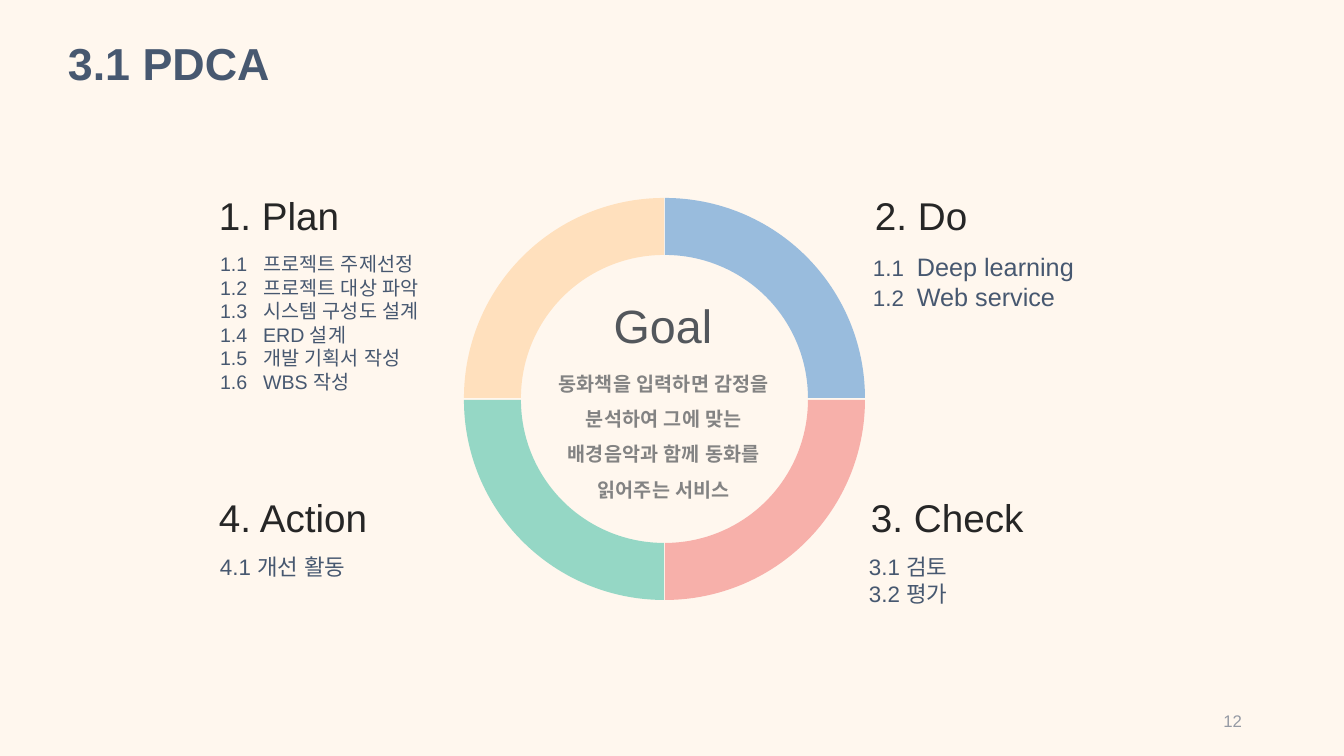
from math import cos, radians, sin, tan

from pptx import Presentation
from pptx.dml.color import RGBColor
from pptx.enum.lang import MSO_LANGUAGE_ID as LANG
from pptx.enum.text import MSO_ANCHOR as ANCHOR, PP_ALIGN as ALIGN
from pptx.oxml.ns import qn
from pptx.util import Pt

# Content
TITLE = "3.1 PDCA"
PAGE = "12"
GOAL = "Goal"
GOAL_TEXT = "동화책을 입력하면 감정을 분석하여 그에 맞는 배경음악과 함께 동화를 읽어주는 서비스"
# heading, its left/top, list box (left, top, width, height), tab stop, items as (text, size) runs
STAGES = [
    ("1. Plan", (216, 198), (216, 248, 241, 150), 43,
     [[("1.1\t프로젝트 주제선정", 14)], [("1.2\t프로젝트 대상 파악", 14)],
      [("1.3\t시스템 구성도 설계", 14)], [("1.4\tERD 설계", 14)],
      [("1.5\t개발 기획서 작성", 14)], [("1.6\tWBS 작성", 14)]]),
    ("2. Do", (872, 198), (869, 247, 245, 103), 44,
     [[("1.1\t", 16), ("Deep learning", 18)], [("1.2\t", 16), ("Web service", 18)]]),
    ("3. Check", (868, 500), (865, 549, 245, 103), None,
     [[("3.1 검토", 16)], [("3.2 평가", 16)]]),
    ("4. Action", (216, 500), (216, 549, 245, 103), None,
     [[("4.1 개선 활동", 16)]]),
]
# Ring quadrants: colour, corner at the ring's centre, start angle (clockwise from the right)
QUADRANTS = [("FFE0BD", (664, 398), 180), ("99BCDD", (665, 398), 270),
             ("F7B0AA", (665, 400), 0), ("95D7C5", (664, 400), 90)]
OUTER, INNER = 200, 143
HEADING_SIZE = (214, 44)

THEME = {
    "font": "Arial", "bg": "FFF7EE", "navy": "475870", "heading": "262626",
    "body": "838383", "page": "959AA4", "goal": [("53575C", 0.21), ("C5C7CA", 0.88)],
    "title_pt": 32, "heading_pt": 27.6, "goal_pt": 33.3, "body_pt": 14, "page_pt": 12,
}


def px(n):
    return round(n * 914400 / 100.8)


def rgb(name):
    return RGBColor.from_string(THEME.get(name, name))


def add_box(slide, left, top, width, height, inset=None):
    tf = slide.shapes.add_textbox(px(left), px(top), px(width), px(height)).text_frame
    tf.word_wrap = True
    if inset is not None:
        tf.margin_left = tf.margin_top = tf.margin_right = tf.margin_bottom = px(inset)
    return tf


def add_run(p, text, size, color=None, bold=False):
    r = p.add_run()
    r.text = text
    r.font.size, r.font.name, r.font.bold = Pt(size), THEME["font"], bold
    r.font.language_id = LANG.KOREAN
    if color:
        r.font.fill.solid()
        r.font.color.rgb = rgb(color)
    r.font._element.get_or_add_latin().addnext(
        r.font._element.makeelement(qn("a:ea"), {"typeface": THEME["font"]}))
    return r


def add_line(tf, text, size, color=None, bold=False, align=None, spacing=None):
    p = tf.paragraphs[0]
    p.alignment, p.line_spacing = align, spacing
    return add_run(p, text, size, color, bold)


def add_items(tf, items, tab):
    for i, item in enumerate(items):
        p = tf.paragraphs[0] if i == 0 else tf.add_paragraph()
        if tab:
            pPr = p._p.get_or_add_pPr()
            tabs = pPr.makeelement(qn("a:tabLst"), {})
            pPr.append(tabs)
            tabs.append(tabs.makeelement(qn("a:tab"), {"pos": str(px(tab)), "algn": "l"}))
        for text, size in item:
            add_run(p, text, size, "navy")


def arc_points(center, radius, start, step):
    """Quarter arc as two Bezier curves: start, then control, control, end for each."""
    pull = 4 / 3 * tan(radians(step / 4))

    def at(angle, tangent=0):
        a = radians(angle)
        return (px(center[0] + radius * (cos(a) - tangent * sin(a))),
                px(center[1] + radius * (sin(a) + tangent * cos(a))))

    points = [at(start)]
    for a in (start, start + step):
        points += [at(a, pull), at(a + step, -pull), at(a + step)]
    return points


def add_quadrant(slide, color, center, start):
    outer = arc_points(center, OUTER, start, 45)
    inner = arc_points(center, INNER, start + 90, -45)
    builder = slide.shapes.build_freeform(*outer[0])
    builder.add_line_segments(outer[1:] + inner, close=True)
    sp = builder.convert_to_shape()
    # Join each three segments of an arc into one curve
    segments = list(sp._element.iter(qn("a:lnTo")))
    for first in (0, 3, 7, 10):
        group = segments[first:first + 3]
        curve = group[0].makeelement(qn("a:cubicBezTo"), {})
        group[0].addprevious(curve)
        for segment in group:
            curve.append(segment[0])
            segment.getparent().remove(segment)
    sp.shadow.inherit = False
    sp.fill.solid()
    sp.fill.fore_color.rgb = rgb(color)
    sp.line.fill.background()


def main():
    prs = Presentation()
    prs.slide_width, prs.slide_height = px(1344), px(756)
    slide = prs.slides.add_slide(prs.slide_layouts[6])
    slide.background.fill.solid()
    slide.background.fill.fore_color.rgb = rgb("bg")

    # Title and page number
    add_line(add_box(slide, 58, 37, 506, 72), TITLE, THEME["title_pt"], "navy",
             bold=True, spacing=0.9)
    tf = add_box(slide, 950, 701, 302, 40)
    tf.vertical_anchor = ANCHOR.MIDDLE
    add_line(tf, PAGE, THEME["page_pt"], "page", align=ALIGN.RIGHT)

    # Ring
    for quadrant in QUADRANTS:
        add_quadrant(slide, *quadrant)

    # Goal in the middle of the ring
    r = add_line(add_box(slide, 548, 300, 230, 58, 3), GOAL, THEME["goal_pt"],
                 align=ALIGN.CENTER, spacing=0.9)
    r.font.fill.gradient()
    r.font.fill.gradient_angle = 270
    for stop, (color, position) in zip(r.font.fill.gradient_stops, THEME["goal"]):
        stop.color.rgb, stop.position = rgb(color), position
    add_line(add_box(slide, 544, 356, 240, 150, 4), GOAL_TEXT, THEME["body_pt"], "body",
             bold=True, align=ALIGN.CENTER, spacing=1.5)

    # Four stages around the ring
    for heading, corner, list_box, tab, items in STAGES:
        add_line(add_box(slide, *corner, *HEADING_SIZE, 3), heading,
                 THEME["heading_pt"], "heading", spacing=0.8)
        add_items(add_box(slide, *list_box, 4), items, tab)

    prs.save("out.pptx")


if __name__ == "__main__":
    main()
